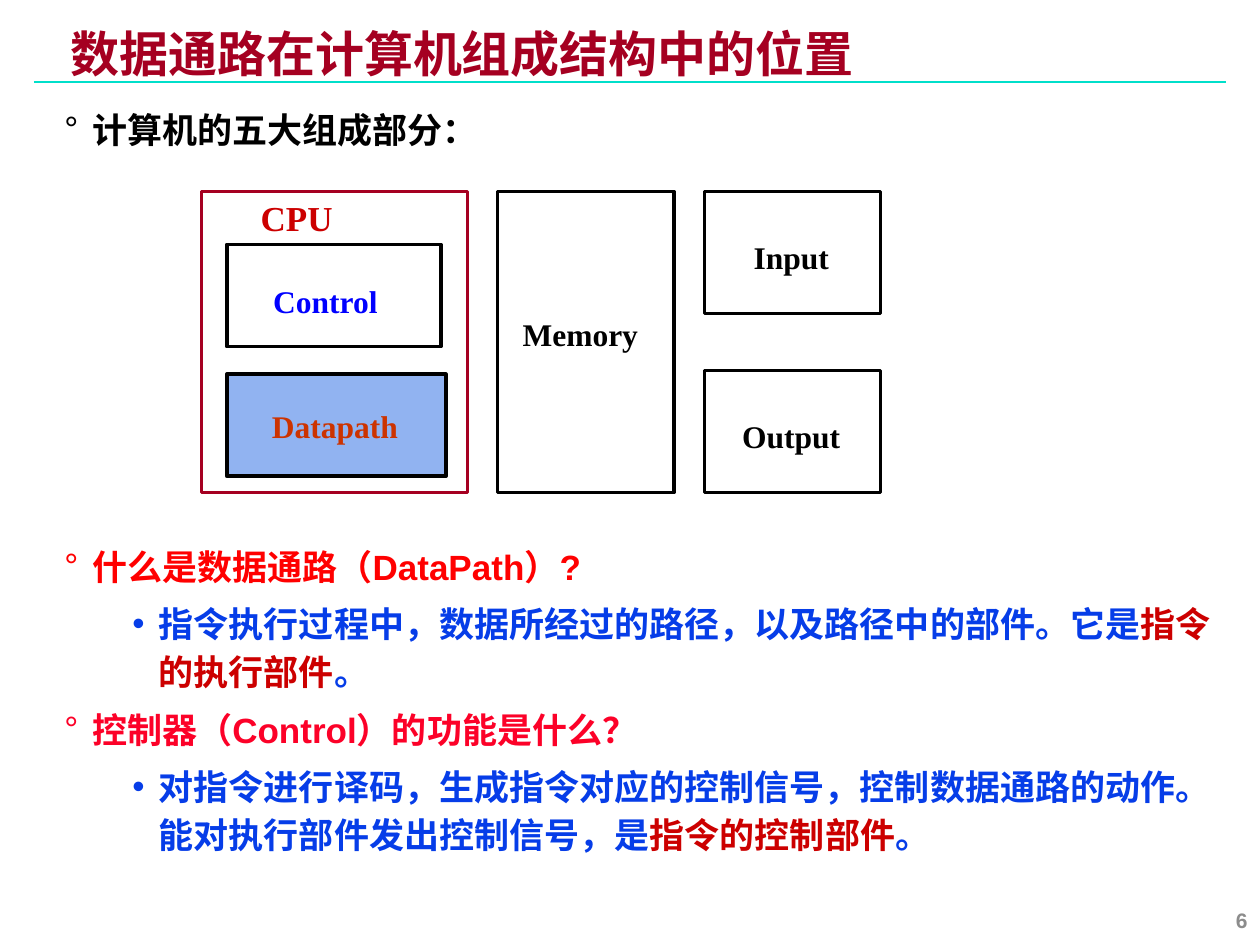
from lxml import etree
from pptx import Presentation
from pptx import util as u
from pptx.dml.color import RGBColor
from pptx.enum import shapes, text
from pptx.oxml.ns import qn

WIDTH, HEIGHT = 10, 7.5
BLACK, CRIMSON, RED, BLUE = "000000", "A50021", "CC0000", "063DE8"
SERIF = "Times New Roman"

TITLE = "数据通路在计算机组成结构中的位置"
INTRO = [(0, [("计算机的五大组成部分：", BLACK)])]
QUESTIONS = [
    (0, [("什么是数据通路（DataPath）?", "FF0000")]),
    (1, [("指令执行过程中，数据所经过的路径，以及路径中的部件。它是", BLUE),
         ("指令的执行部件", RED), ("。", BLUE)]),
    (0, [("控制器（Control）的功能是什么？", "FC0128")]),
    (1, [("对指令进行译码，生成指令对应的控制信号，控制数据通路的动作。能对执行部件发出控制信号，是", BLUE),
         ("指令的控制部件", RED), ("。", BLUE)]),
]
LEVELS = [("°", 0.22, 0.22), ("•", 0.75, 0.21)]

TOP, TALL, SHORT, INNER = 1.52, 2.39, 0.97, 0.81
CPU, MEMORY, DEVICES = (1.6, 2.11), (3.95, 1.4), (5.59, 1.4)
LOWER = TOP + TALL - SHORT
UNITS = [
    ("CPU", (CPU[0], TOP, CPU[1], TALL), (1.97, 1.51, 0.85, 0.43), RED, CRIMSON, None, 20),
    ("Control", (1.8, 1.94, 1.7, INNER), (2.07, 2.19, 1.12, 0.4), "0000FF", BLACK, None, 18),
    ("Datapath", (1.8, 2.97, 1.74, INNER), (2.06, 3.18, 1.32, 0.4), "CC3300", BLACK, "91B3F1", 18),
    ("Memory", (MEMORY[0], TOP, MEMORY[1], TALL), (4.05, 2.45, 1.2, 0.4), BLACK, BLACK, None, 18),
    ("Input", (DEVICES[0], TOP, DEVICES[1], SHORT), (5.84, 1.84, 0.88, 0.4), BLACK, BLACK, None, 18),
    ("Output", (DEVICES[0], LOWER, DEVICES[1], SHORT), (5.75, 3.26, 1.06, 0.4), BLACK, BLACK, None, 18),
]


def color(value):
    return RGBColor.from_string(value)


def inches(values):
    return [u.Inches(value) for value in values]


def add_bullet(para, level):
    mark, left, hang = LEVELS[level]
    props = para._p.get_or_add_pPr()
    props.set("marL", str(u.Inches(left)))
    props.set("indent", str(-u.Inches(hang)))
    etree.SubElement(props, qn("a:buFont")).set("typeface", "Arial")
    etree.SubElement(props, qn("a:buChar")).set("char", mark)


def add_text(page, area, paras, size=20, font="Arial", inset=(0.07, 0.03),
             align=None, anchor=text.MSO_ANCHOR.TOP, spacing=None, before=0, bullets=False):
    box = page.shapes.add_textbox(*inches(area))
    frame = box.text_frame
    frame.word_wrap = True
    frame.vertical_anchor = anchor
    frame.margin_left = frame.margin_right = u.Inches(inset[0])
    frame.margin_top = frame.margin_bottom = u.Inches(inset[1])
    for index, (level, spans) in enumerate(paras):
        para = frame.paragraphs[0] if index == 0 else frame.add_paragraph()
        para.level = level
        para.alignment = align
        if spacing:
            para.line_spacing = spacing
        para.space_before = u.Pt(before if index else 0)
        if bullets:
            add_bullet(para, level)
        for words, shade in spans:
            span = para.add_run()
            span.text = words
            span.font.name = font
            span.font.size = u.Pt(size)
            span.font.bold = True
            span.font.color.rgb = color(shade)


def add_unit(page, name, area, label_area, shade, outline, fill, size):
    box = page.shapes.add_shape(shapes.MSO_SHAPE.RECTANGLE, *inches(area))
    box.shadow.inherit = False
    box.line.color.rgb = color(outline)
    box.line.width = u.Pt(2)
    if fill:
        box.fill.solid()
        box.fill.fore_color.rgb = color(fill)
    else:
        box.fill.background()
    centred = area[0] == DEVICES[0]
    add_text(page, label_area, [(0, [(name, shade)])], size=size, font=SERIF,
             inset=(0.1, 0.05),
             align=text.PP_ALIGN.CENTER if centred else text.PP_ALIGN.LEFT)


def add_rule(page, margin, top):
    rule = page.shapes.add_connector(shapes.MSO_CONNECTOR.STRAIGHT,
                                     *inches((margin, top, WIDTH - margin, top)))
    rule.line.color.rgb = color("00DFCA")
    rule.line.width = u.Pt(1.5)
    etree.SubElement(rule._element.spPr, qn("a:effectLst"))


def main():
    deck = Presentation()
    deck.slide_width, deck.slide_height = inches((WIDTH, HEIGHT))
    page = deck.slides.add_slide(deck.slide_layouts[6])
    add_rule(page, 0.27, 0.65)
    add_text(page, (0.49, 0.22, 8.11, 0.46), [(0, [(TITLE, CRIMSON)])], size=28, spacing=0.87)
    add_text(page, (0.44, 0.83, 9.28, 0.4), INTRO, bullets=True)
    add_text(page, (0.44, 4.25, 9.28, 2.81), QUESTIONS, spacing=1.15, before=5, bullets=True)
    for unit in UNITS:
        add_unit(page, *unit)
    add_text(page, (7.75, 7.1, 2.25, 0.4), [(0, [("6", "8C8C8C")])], size=12,
             inset=(0.1, 0.05), align=text.PP_ALIGN.RIGHT, anchor=text.MSO_ANCHOR.MIDDLE)
    deck.save("out.pptx")


if __name__ == "__main__":
    main()
